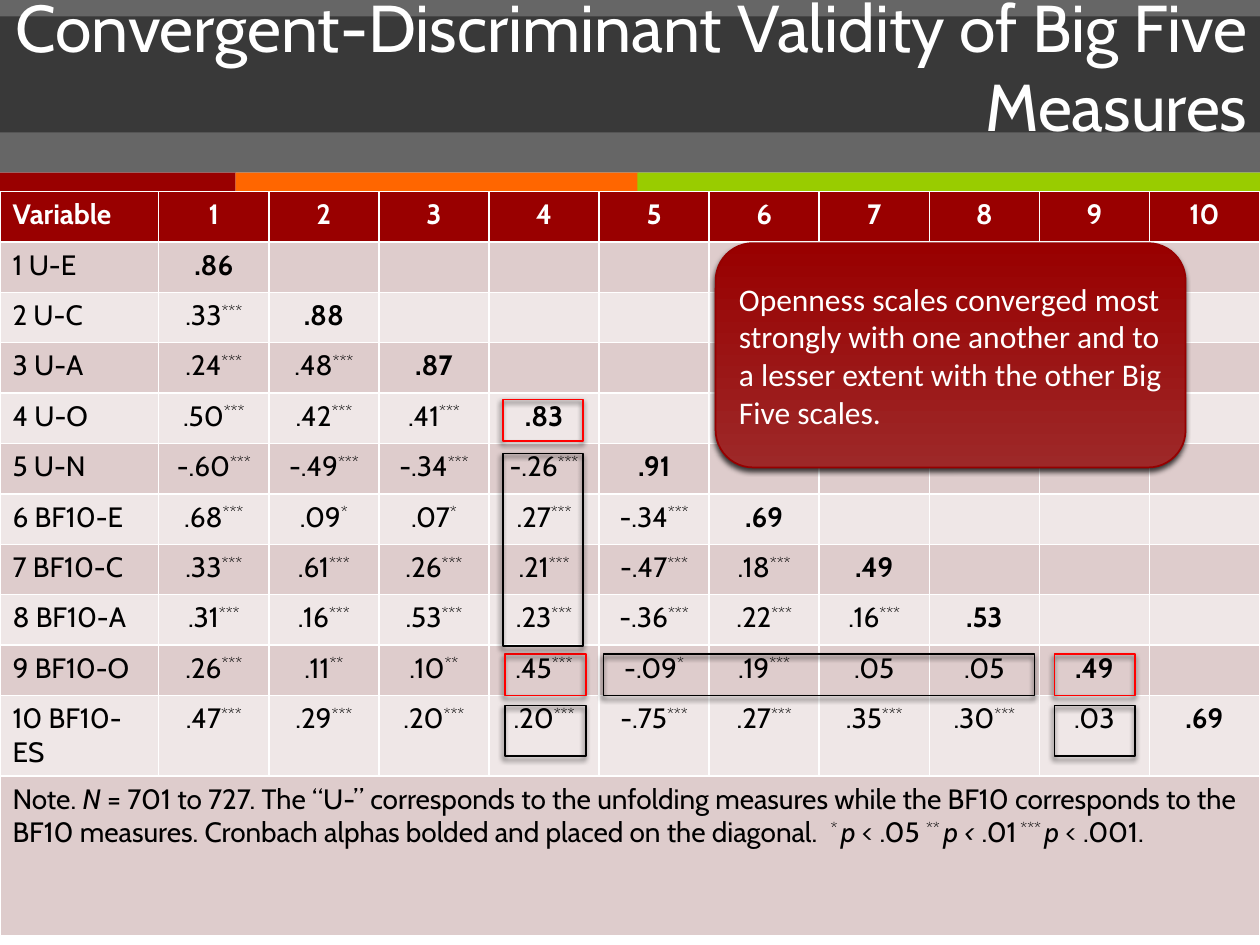
from lxml import etree
from pptx import Presentation
from pptx.dml.color import RGBColor
from pptx.enum import shapes, text
from pptx.oxml import ns
from pptx.util import Inches, Pt

WHITE = RGBColor(0xFF, 0xFF, 0xFF)
BLACK = RGBColor(0, 0, 0)
DARK = RGBColor(0x26, 0x26, 0x26)
MAROON = RGBColor(0x99, 0, 0)
ORANGE = RGBColor(0xFF, 0x66, 0)
GREEN = RGBColor(0x99, 0xCC, 0)
RED = RGBColor(0xFF, 0, 0)
EDGE = RGBColor(0x96, 0, 0)
ROSE = RGBColor(0x9D, 0x28, 0x28)
PINK = RGBColor(0xDE, 0xCC, 0xCC)
PALE = RGBColor(0xEF, 0xE7, 0xE7)

# Content
TITLE = "Convergent-Discriminant Validity of Big Five Measures"
CALLOUT = ("Openness scales converged most strongly with one another and to "
           "a lesser extent with the other Big Five scales.")
ROWS = [
    ("1 U-E", ".86"),
    ("2 U-C", ".33*** .88"),
    ("3 U-A", ".24*** .48*** .87"),
    ("4 U-O", ".50*** .42*** .41*** .83"),
    ("5 U-N", "-.60*** -.49*** -.34*** -.26*** .91"),
    ("6 BF10-E", ".68*** .09* .07* .27*** -.34*** .69"),
    ("7 BF10-C", ".33*** .61*** .26*** .21*** -.47*** .18*** .49"),
    ("8 BF10-A", ".31*** .16*** .53*** .23*** -.36*** .22*** .16*** .53"),
    ("9 BF10-O", ".26*** .11** .10** .45*** -.09* .19*** .05 .05 .49"),
    ("10 BF10-ES",
     ".47*** .29*** .20*** .20*** -.75*** .27*** .35*** .30*** .03 .69"),
]
# Note runs: text, style ("i" italic, "s" superscript)
NOTE = [
    ("Note. ", ""), ("N", "i"),
    (" = 701 to 727. The “U-” corresponds to the unfolding measures while "
     "the BF10 corresponds to the BF10 measures. Cronbach alphas bolded and "
     "placed on the diagonal.  ", ""),
    ("* ", "s"), ("p", "i"), (" < .05 ", ""),
    ("** ", "s"), ("p <", "i"), (" .01", ""),
    (" *** ", "s"), ("p", "i"), (" < .001.", ""),
]
STRIPES = [(0, 1.87, MAROON), (1.87, 3.2, ORANGE), (5.06, 4.94, GREEN)]
# Highlight boxes: left, top, width, height, colour
BOXES = [
    (8.37, 5.19, 0.64, 0.33, RED),
    (3.99, 3.17, 0.64, 0.33, RED),
    (4.01, 5.19, 0.64, 0.33, RED),
    (3.99, 3.6, 0.64, 1.53, BLACK),
    (4.79, 5.19, 3.42, 0.33, BLACK),
    (4.01, 5.6, 0.64, 0.4, BLACK),
    (8.37, 5.6, 0.64, 0.4, BLACK),
]

deck = Presentation()
deck.slide_width, deck.slide_height = Inches(10), Inches(7.5)
slide = deck.slides.add_slide(deck.slide_layouts[5])


def add(kind, *box):
    item = slide.shapes.add_shape(kind, *map(Inches, box))
    item.shadow.inherit = False
    return item


def paint(item, color, alpha=None):
    item.fill.solid()
    item.fill.fore_color.rgb = color
    if alpha:
        clr = item._element.spPr.find(".//" + ns.qn("a:srgbClr"))
        etree.SubElement(clr, ns.qn("a:alpha")).set("val", str(alpha * 1000))


def shade(item):
    effects = item._element.spPr.find(ns.qn("a:effectLst"))
    drop = etree.SubElement(effects, ns.qn("a:outerShdw"),
                            blurRad=str(Pt(3)), dist=str(Pt(2)),
                            dir=str(110 * 60000), rotWithShape="0")
    clr = etree.SubElement(drop, ns.qn("a:srgbClr"), val="000000")
    etree.SubElement(clr, ns.qn("a:alpha"), val="75000")


def style(para, face, size, color, align=text.PP_ALIGN.LEFT):
    para.alignment = align
    para.font.name, para.font.size = face, Pt(size)
    para.font.color.rgb = color


def write(para, words, look=""):
    run = para.add_run()
    run.text = words
    if "b" in look:
        run.font.bold = True
    if "i" in look:
        run.font.italic = True
    if "s" in look:
        run._r.get_or_add_rPr().set("baseline", "30000")


# Header band and colour stripes
RECT = shapes.MSO_SHAPE.RECTANGLE
band = add(RECT, 0, 0.13, 10, 1.24)
paint(band, DARK, 70)
band.line.fill.background()
for left, width, color in STRIPES:
    stripe = add(RECT, left, 1.37, width, 0.15)
    paint(stripe, color)
    stripe.line.fill.background()

# Title, in front of the band
title = slide.shapes.title
title.left, title.top = Inches(0), Inches(-0.01)
title.width, title.height = Inches(10), Inches(1.06)
paint(title, DARK, 70)
frame = title.text_frame
frame.text = TITLE
frame.auto_size = text.MSO_AUTO_SIZE.NONE
frame.vertical_anchor = text.MSO_ANCHOR.MIDDLE
style(frame.paragraphs[0], "Cabin", 37.8, WHITE, text.PP_ALIGN.RIGHT)
slide.shapes._spTree.append(title._element)

# Correlation table
count = len(ROWS)
grid = slide.shapes.add_table(count + 2, count + 1, Inches(0), Inches(1.52),
                              Inches(10), Inches(5.78)).table
for c, col in enumerate(grid.columns):
    col.width = Inches(0.874 if c else 1.26)
for row in grid.rows:
    row.height = Inches(0.4)
grid.rows[count].height = Inches(0.49)
grid.rows[count + 1].height = Inches(1.27)
grid.cell(count + 1, 0).merge(grid.cell(count + 1, count))

head = ["Variable"] + [str(n + 1) for n in range(count)]
lines = [head] + [[name] + vals.split() for name, vals in ROWS] + [[]]
for r, line in enumerate(lines):
    for c in range(count + 1):
        cell = grid.cell(r, c)
        cell.fill.solid()
        cell.fill.fore_color.rgb = (PINK if r % 2 else PALE) if r else MAROON
        para = cell.text_frame.paragraphs[0]
        style(para, "Cabin", 16, BLACK if r else WHITE,
              text.PP_ALIGN.CENTER if c else text.PP_ALIGN.LEFT)
        if c < len(line):
            value = line[c].rstrip("*")
            write(para, value, "b" if r in (0, c) else "")
            if value != line[c]:
                write(para, line[c][len(value):], "s")
note = grid.cell(count + 1, 0)
note.fill.fore_color.rgb = PINK
for words, look in NOTE:
    write(note.text_frame.paragraphs[0], words, look)

# Highlight boxes
for *place, color in BOXES:
    box = add(RECT, *place)
    box.fill.background()
    box.line.color.rgb, box.line.width = color, Pt(1)
    shade(box)

# Callout
card = add(shapes.MSO_SHAPE.ROUNDED_RECTANGLE, 5.68, 1.93, 3.73, 1.78)
card.fill.gradient()
card.fill.gradient_angle = 90
for stop, color in zip(card.fill.gradient_stops, (ROSE, MAROON)):
    stop.color.rgb = color
card.line.color.rgb, card.line.width = EDGE, Pt(1)
shade(card)
card.text_frame.text = CALLOUT
card.text_frame.word_wrap = True
card.text_frame.vertical_anchor = text.MSO_ANCHOR.MIDDLE
style(card.text_frame.paragraphs[0], "Calibri", 18, WHITE)

deck.save("out.pptx")
